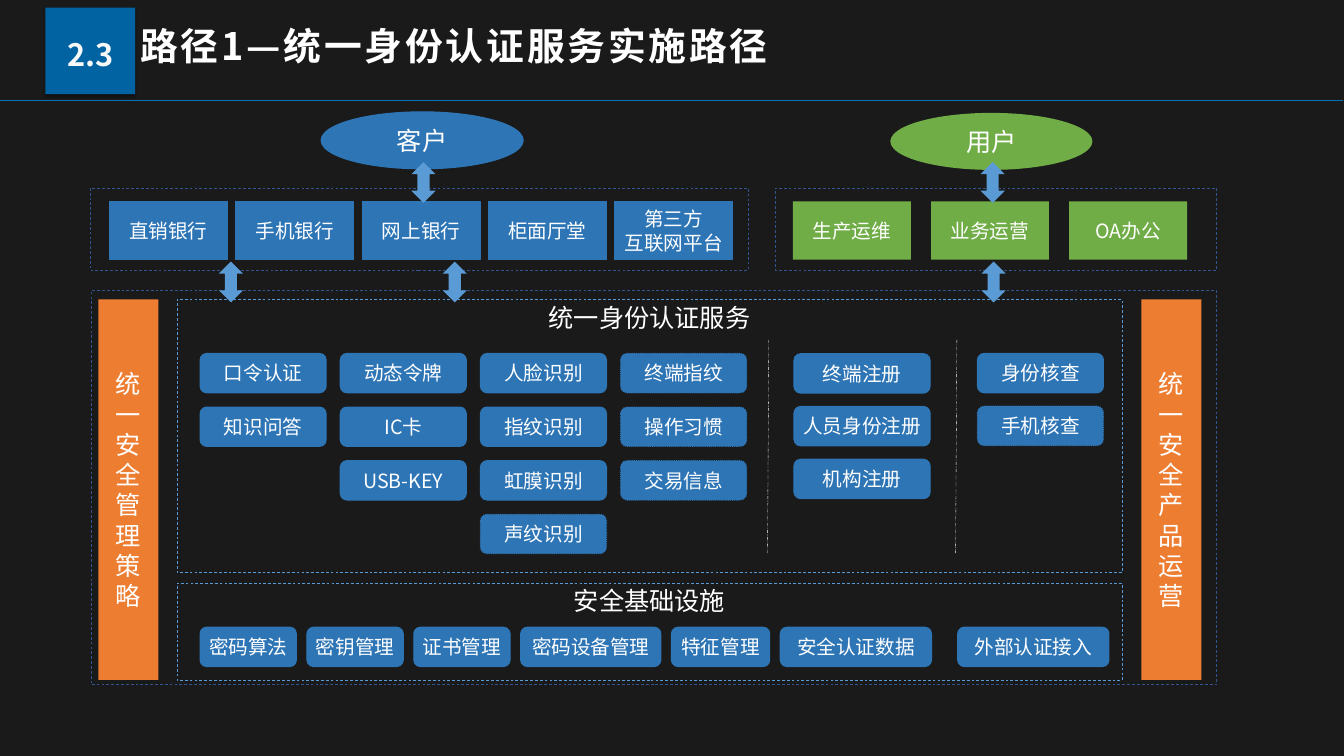
from lxml.etree import SubElement as Sub
from pptx import Presentation as Deck
from pptx.dml.color import RGBColor
from pptx.enum.dml import MSO_LINE as Dash
from pptx.enum.shapes import MSO_CONNECTOR as Link, MSO_SHAPE as Form
from pptx.enum.text import MSO_ANCHOR as Anchor, MSO_AUTO_SIZE as Fit, PP_ALIGN as Align
from pptx.oxml.ns import qn
from pptx.util import Pt

FACE = "Noto Sans CJK SC"
BLUE, GREEN, SKY, NAVY = "2E75B6", "70AD47", "5B9BD5", "325491"
ORANGE, WHITE, BRAND = "ED7D31", "FFFFFF", "0072BC"
DOTTED = {"声纹识别", "终端指纹", "操作习惯", "交易信息", "手机核查"}


def tint(code):
    return RGBColor.from_string(code)


def apply(item, form):
    for key, value in form.items():
        setattr(item, key, value)


def write(frame, text, size, para, color=WHITE, bold=False):
    frame.text = text
    for row in frame.paragraphs:
        apply(row, para)
        for run in row.runs:
            apply(run.font, {"name": FACE, "size": Pt(size), "bold": bold})
            run.font.color.rgb = tint(color)
            Sub(run.font._element, qn("a:ea")).set("typeface", FACE)


def stroke(line, color, width, dash=None):
    line.color.rgb = tint(color)
    apply(line, {"width": Pt(width), "dash_style": dash})


def part(slide, form, box, fill=None, line=None, text="", size=28, frame=None):
    shape = slide.shapes.add_shape(form, *map(Pt, box))
    shape.shadow.inherit = False
    if fill:
        shape.fill.solid()
        shape.fill.fore_color.rgb = tint(fill)
    else:
        shape.fill.background()
    if line:
        stroke(shape.line, *line)
    else:
        shape.line.fill.background()
    if text:
        apply(shape.text_frame, frame or {})
        write(shape.text_frame, text, size, {"alignment": Align.CENTER})
    return shape


def rule(slide, x1, y1, x2, y2, color, width, dash=None):
    line = slide.shapes.add_connector(Link.STRAIGHT, *map(Pt, (x1, y1, x2, y2)))
    stroke(line.line, color, width, dash)
    Sub(line._element.spPr, qn("a:effectLst"))


def pill(slide, box, text):
    dash = Dash.ROUND_DOT if text in DOTTED else None
    part(slide, Form.ROUNDED_RECTANGLE, box, BLUE, (BLUE, 1.5, dash), text)


def stack(slide, x, y, width, step, names):
    for row, name in enumerate(names):
        pill(slide, (x, y + row * step, width, 56.2), name)


def arrow(slide, x, y):
    part(slide, Form.UP_DOWN_ARROW, (x, y, 34.6, 58.3), SKY)


def panel(slide, box, text):
    part(slide, Form.RECTANGLE, box, None, (SKY, 1, Dash.DASH), text, 36,
         {"vertical_anchor": Anchor.TOP})


def header(slide, x, y, width):
    rule(slide, x - 2, y + 143.3, x + width - 1.5, y + 143.3, BRAND, 2.25)
    title = slide.shapes.title
    apply(title, {"left": Pt(x + 193), "top": Pt(y + 36),
                  "width": Pt(1656), "height": Pt(104.4)})
    frame = title.text_frame
    apply(frame, {"word_wrap": True, "auto_size": Fit.NONE,
                  "vertical_anchor": Anchor.TOP})
    write(frame, "路径1—统一身份认证服务实施路径", 54,
          {"alignment": Align.LEFT, "line_spacing": 0.9}, bold=True)
    frame.paragraphs[0].runs[0].font._element.set("spc", "400")

    badge = part(slide, Form.RECTANGLE, (x + 64.8, y + 10.8, 128.2, 123.8), BRAND)
    write(badge.text_frame, "2.3", 44,
          {"alignment": Align.CENTER, "line_spacing": 1.2}, "F9F9F9", True)
    props = badge._element.spPr
    Sub(props.find(f"{qn('a:solidFill')}/{qn('a:srgbClr')}"),
        qn("a:alpha")).set("val", "85000")
    shade = Sub(props.find(qn("a:effectLst")), qn("a:outerShdw"),
                blurRad=str(Pt(4)), dist=str(Pt(3)), dir="5400000", rotWithShape="0")
    Sub(Sub(shade, qn("a:srgbClr"), val="000000"), qn("a:alpha"), val="40000")


def channel(slide, box, color, line, oval, pad, step, names):
    x, y, width, height = box
    part(slide, Form.RECTANGLE, box, None, (NAVY, 1, Dash.DASH))
    for col, name in enumerate(names):
        part(slide, Form.RECTANGLE, (x + pad + col * step, y + 19, 168.5, 83.5),
             color, line, name)
    shift, rise, text = oval
    part(slide, Form.OVAL, (x + shift, y - rise, 288.7, 81.4), color, line, text, 36)


def pillar(slide, box, text):
    part(slide, Form.RECTANGLE, box, ORANGE, None, text, 36,
         {"margin_left": Pt(12), "margin_right": Pt(12)})


def auth(slide, box):
    x, y, width, height = box
    panel(slide, box, "统一身份认证服务")
    grid = [("口令认证", "知识问答"),
            ("动态令牌", "IC卡", "USB-KEY"),
            ("人脸识别", "指纹识别", "虹膜识别", "声纹识别"),
            ("终端指纹", "操作习惯", "交易信息")]
    for col, names in enumerate(grid):
        stack(slide, x + 33.1 + col * 200.2, y + 77.2, 180, 76.6, names)
    stack(slide, x + 881.3, y + 77.6, 194.4, 75.4,
          ("终端注册", "人员身份注册", "机构注册"))
    stack(slide, x + 1143.3, y + 77.2, 180, 75.4, ("身份核查", "手机核查"))
    for shift in (845.3, 1113.9):
        rule(slide, x + shift, y + 58, x + shift - 1.8, y + 363.5,
             WHITE, 0.5, Dash.DASH_DOT_DOT)


def base(slide, box):
    x, y, width, height = box
    panel(slide, box, "安全基础设施")
    items = [("密码算法", 137.5, 15.1), ("密钥管理", 137.5, 15.1),
             ("证书管理", 137.5, 15.1), ("密码设备管理", 200.2, 15.1),
             ("特征管理", 140.4, 15.1), ("安全认证数据", 216, 37.4),
             ("外部认证接入", 216, 0)]
    left = x + 33.1
    for name, wide, gap in items:
        pill(slide, (left, y + 63, wide, 56.2), name)
        left += wide + gap


def core(slide, box):
    x, y, width, height = box
    part(slide, Form.RECTANGLE, box, None, (NAVY, 1, Dash.DASH))
    pillar(slide, (x + 10.1, y + 12.3, 85.7, 543.6), "统一安全管理策略")
    pillar(slide, (x + 1499.8, y + 12.3, 85.7, 543.6), "统一安全产品运营")
    auth(slide, (x + 122.4, y + 12.3, 1350, 390.2))
    base(slide, (x + 122.4, y + 417.6, 1350, 139))


def main():
    deck = Deck()
    apply(deck, {"slide_width": Pt(1919.52), "slide_height": Pt(1080)})
    slide = deck.slides.add_slide(deck.slide_layouts[5])
    back = slide.background.fill
    back.solid()
    back.fore_color.rgb = tint("1A1A1A")
    header(slide, 0, 0, 1919.52)
    core(slide, (130.3, 415.4, 1607, 563))
    channel(slide, (128.9, 268.6, 939.6, 117.4), BLUE, (BLUE, 1.5),
            (329.7, 108.8, "客户"), 27.4, 180.4,
            ("直销银行", "手机银行", "网上银行", "柜面厅堂", "第三方\n互联网平台"))
    channel(slide, (1107.4, 268.6, 630, 117.4), GREEN, None,
            (164.1, 107.3, "用户"), 25, 197.3, ("生产运维", "业务运营", "OA办公"))
    for x, y in ((587.5, 231.5), (1400.4, 231.5),
                 (312.5, 373.7), (632.2, 373.7), (1401.8, 373.7)):
        arrow(slide, x, y)
    deck.save("out.pptx")


if __name__ == "__main__":
    main()
